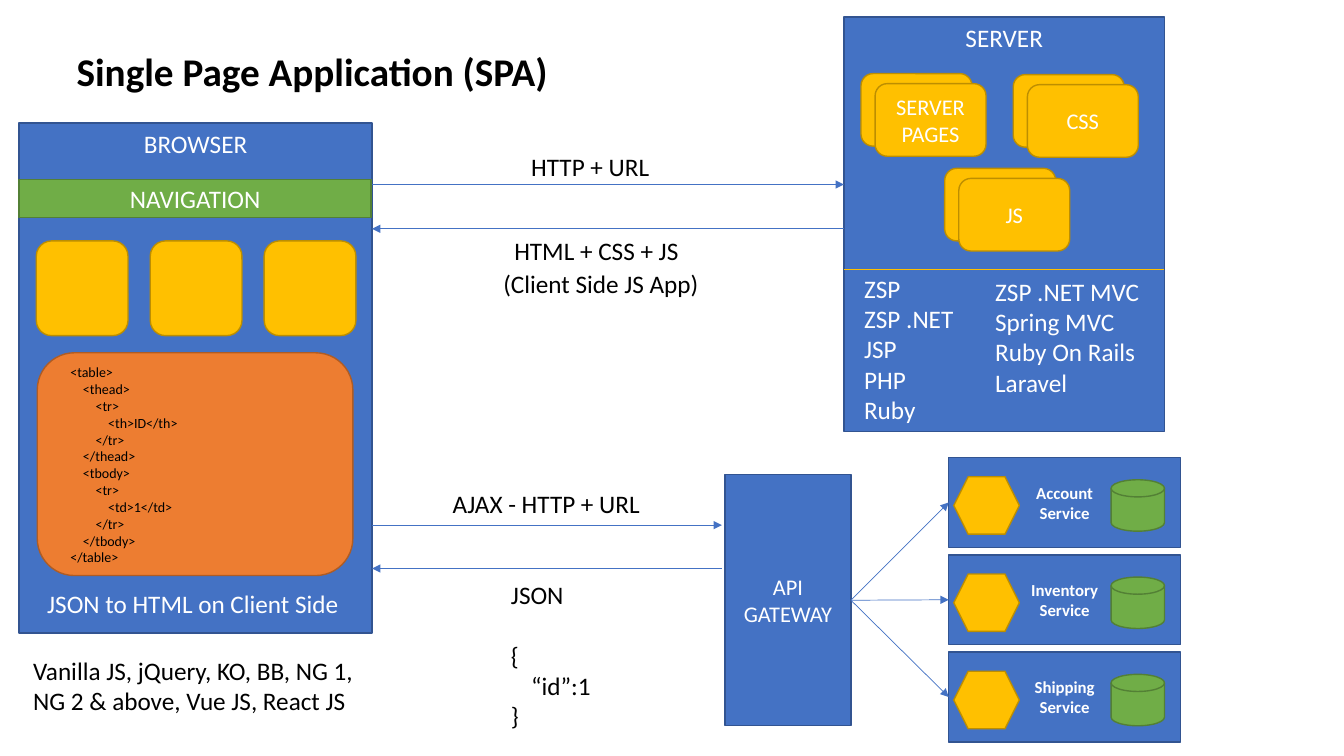
"""Build the single page application architecture slide."""
from dataclasses import dataclass

from lxml.etree import SubElement
from pptx import Presentation
from pptx.dml.color import RGBColor
from pptx.enum.shapes import MSO_CONNECTOR, MSO_SHAPE
from pptx.enum.text import MSO_ANCHOR, MSO_AUTO_SIZE, PP_ALIGN
from pptx.oxml.ns import qn
from pptx.util import Inches, Pt


@dataclass(frozen=True)
class Theme:
    font: str = "Calibri"
    white: str = "FFFFFF"
    black: str = "000000"
    blue: tuple = ("4472C4", "325491")
    gold: tuple = ("FFC000", "BD8E00")
    green: tuple = ("70AD47", "538035")
    orange: tuple = ("ED7D31", "AF5C24")
    title: int = 28
    label: int = 18
    box: int = 16
    service: int = 12
    code: int = 10


THEME = Theme()

TITLE = "Single Page Application (SPA)"
SERVER_LISTS = [
    (["ZSP", "ZSP .NET", "JSP", "PHP", "Ruby"], (8.47, 2.66, 1.21, 1.62)),
    (["ZSP .NET MVC", "Spring MVC", "Ruby On Rails", "Laravel"], (9.77, 2.69, 1.78, 1.31)),
]
SERVER_FILES = [("SERVER PAGES", 8.54, 0.73), ("CSS", 10.05, 0.74), ("JS", 9.37, 1.67)]
SERVICES = ["Account", "Inventory", "Shipping"]
TABLE_CODE = """<table>
    <thead>
        <tr>
            <th>ID</th>
        </tr>
    </thead>
    <tbody>
        <tr>
            <td>1</td>
        </tr>
    </tbody>
</table>""".split("\n")
LABELS = [
    (["HTTP + URL"], (5.17, 1.45, 1.39, 0.4), {}),
    (["HTML + CSS + JS"], (4.99, 2.29, 1.85, 0.4), {"align": PP_ALIGN.CENTER}),
    (["(Client Side JS App)"], (4.69, 2.61, 2.54, 0.4), {"align": PP_ALIGN.CENTER}),
    (["AJAX - HTTP + URL"], (4.39, 4.8, 2.08, 0.4), {}),
    (["JSON", "{", "“id”:1", "}"], (4.97, 5.7, 1, 1.62),
     {"gaps": {1: 21.6}, "indents": {2: 0.2}}),
    (["JSON to HTML on Client Side"], (0.37, 5.79, 3.13, 0.4), {"color": THEME.white}),
    (["Vanilla JS, jQuery, KO, BB, NG 1,", "NG 2 & above, Vue JS, React JS"],
     (0.23, 6.45, 3.41, 0.71), {}),
    (TABLE_CODE, (0.6, 3.56, 2.44, 2.12), {"size": THEME.code}),
]

BROWSER = (0.19, 1.22, 3.5, 5.06)
SERVER = (8.37, 0.17, 3.18, 4.11)
GATEWAY = (7.19, 4.71, 1.25, 2.49)
BROWSER_EDGE = BROWSER[0] + BROWSER[2]
MESSAGES = [
    (BROWSER_EDGE, SERVER[0], 1.83),
    (SERVER[0], BROWSER_EDGE, 2.27),
    (BROWSER_EDGE, 7.16, 5.21),
    (7.16, BROWSER_EDGE, 5.64),
]
SERVICE_LEFT, SERVICE_TOP, SERVICE_STEP = 9.41, 4.54, 0.965


def write(frame, lines, size=THEME.label, color=THEME.black, bold=False,
          align=PP_ALIGN.LEFT, anchor=MSO_ANCHOR.TOP, wrap=True, gaps={}, indents={}):
    """Fill a text frame with one paragraph per line."""
    frame.word_wrap = wrap
    frame.auto_size = MSO_AUTO_SIZE.NONE
    frame.vertical_anchor = anchor
    for index, line in enumerate(lines):
        paragraph = frame.paragraphs[0] if index == 0 else frame.add_paragraph()
        properties = paragraph._p.get_or_add_pPr()
        properties.set("marL", str(Inches(indents.get(index, 0))))
        properties.set("indent", "0")
        SubElement(properties, qn("a:buNone"))
        paragraph.alignment = align
        paragraph.space_before = Pt(gaps.get(index, 0))
        run = paragraph.add_run()
        run.text = line
        run.font.name = THEME.font
        run.font.size = Pt(size)
        run.font.bold = bold
        run.font.color.rgb = RGBColor.from_string(color)


def place(placeholder, area):
    """Move a placeholder to an area given in inches."""
    placeholder.left, placeholder.top, placeholder.width, placeholder.height = map(Inches, area)


def add_box(slide, kind, area, colors, lines=(), **text_format):
    """Add a filled and outlined shape with optional centred text."""
    box = slide.shapes.add_shape(kind, *map(Inches, area))
    box.shadow.inherit = False
    box.fill.solid()
    box.fill.fore_color.rgb = RGBColor.from_string(colors[0])
    box.line.color.rgb = RGBColor.from_string(colors[1])
    box.line.width = Pt(1)
    if lines:
        write(box.text_frame, lines, color=THEME.white, align=PP_ALIGN.CENTER, **text_format)
    return box


def add_line(slide, start, end, color=THEME.blue[0], arrow=True):
    """Add a thin straight connector, with an arrowhead at its end by default."""
    points = map(Inches, (*start, *end))
    connector = slide.shapes.add_connector(MSO_CONNECTOR.STRAIGHT, *points)
    connector.line.color.rgb = RGBColor.from_string(color)
    connector.line.width = Pt(0.5)
    if arrow:
        SubElement(connector.line._get_or_add_ln(), qn("a:tailEnd"), type="triangle")
    SubElement(connector._element.spPr, qn("a:effectLst"))
    return connector


def add_server(slide):
    """Draw the server with its file stacks and technology lists."""
    add_box(slide, MSO_SHAPE.RECTANGLE, SERVER, THEME.blue, ["SERVER"])
    for name, left, top in SERVER_FILES:
        add_box(slide, MSO_SHAPE.ROUNDED_RECTANGLE, (left, top, 1.1, 0.72), THEME.gold)
        add_box(slide, MSO_SHAPE.ROUNDED_RECTANGLE, (left + 0.14, top + 0.1, 1.1, 0.72),
                THEME.gold, [name], size=THEME.box, anchor=MSO_ANCHOR.MIDDLE)
    add_line(slide, (SERVER[0], 2.67), (SERVER[0] + SERVER[2], 2.67), THEME.gold[0], arrow=False)
    for index, (technologies, area) in enumerate(SERVER_LISTS, start=1):
        body = slide.placeholders[index]
        place(body, area)
        write(body.text_frame, technologies, color=THEME.white)
        slide.shapes._spTree.append(body._element)


def add_browser(slide):
    """Draw the browser with its navigation bar, tiles and code panel."""
    add_box(slide, MSO_SHAPE.RECTANGLE, BROWSER, THEME.blue, ["BROWSER"])
    add_box(slide, MSO_SHAPE.RECTANGLE, (BROWSER[0], 1.78, 3.49, 0.38), THEME.green,
            ["NAVIGATION"], anchor=MSO_ANCHOR.MIDDLE)
    for column in range(3):
        add_box(slide, MSO_SHAPE.ROUNDED_RECTANGLE, (0.36 + 1.13 * column, 2.39, 0.91, 0.94),
                THEME.gold)
    add_box(slide, MSO_SHAPE.ROUNDED_RECTANGLE, (0.37, 3.5, 3.13, 2.21), THEME.orange)


def add_services(slide):
    """Draw the gateway and the services it calls."""
    gateway = add_box(slide, MSO_SHAPE.RECTANGLE, GATEWAY, THEME.blue, ["API GATEWAY"],
                      size=THEME.box, anchor=MSO_ANCHOR.MIDDLE)
    for row, name in enumerate(SERVICES):
        top = SERVICE_TOP + SERVICE_STEP * row
        service = add_box(slide, MSO_SHAPE.RECTANGLE, (SERVICE_LEFT, top, 2.3, 0.89), THEME.blue,
                          [name, "Service"], size=THEME.service, bold=True,
                          anchor=MSO_ANCHOR.MIDDLE)
        add_box(slide, MSO_SHAPE.HEXAGON, (SERVICE_LEFT + 0.05, top + 0.19, 0.65, 0.57), THEME.gold)
        add_box(slide, MSO_SHAPE.FLOWCHART_MAGNETIC_DISK,
                (SERVICE_LEFT + 1.61, top + 0.22, 0.53, 0.51), THEME.green)
        call = add_line(slide, (0, 0), (1, 1))
        call.begin_connect(gateway, 3)
        call.end_connect(service, 1)


def main():
    """Assemble and save the slide."""
    deck = Presentation()
    deck.slide_width, deck.slide_height = Inches(13.33), Inches(7.5)
    slide = deck.slides.add_slide(deck.slide_layouts.get_by_name("Two Content"))
    place(slide.shapes.title, (0.66, 0.42, 5.09, 0.57))
    write(slide.shapes.title.text_frame, [TITLE], size=THEME.title, bold=True)
    add_server(slide)
    add_browser(slide)
    add_services(slide)
    for start, end, height in MESSAGES:
        add_line(slide, (start, height), (end, height))
    for lines, area, text_format in LABELS:
        label = slide.shapes.add_textbox(*map(Inches, area))
        write(label.text_frame, lines, wrap=False, **text_format)
    deck.save("out.pptx")


if __name__ == "__main__":
    main()
